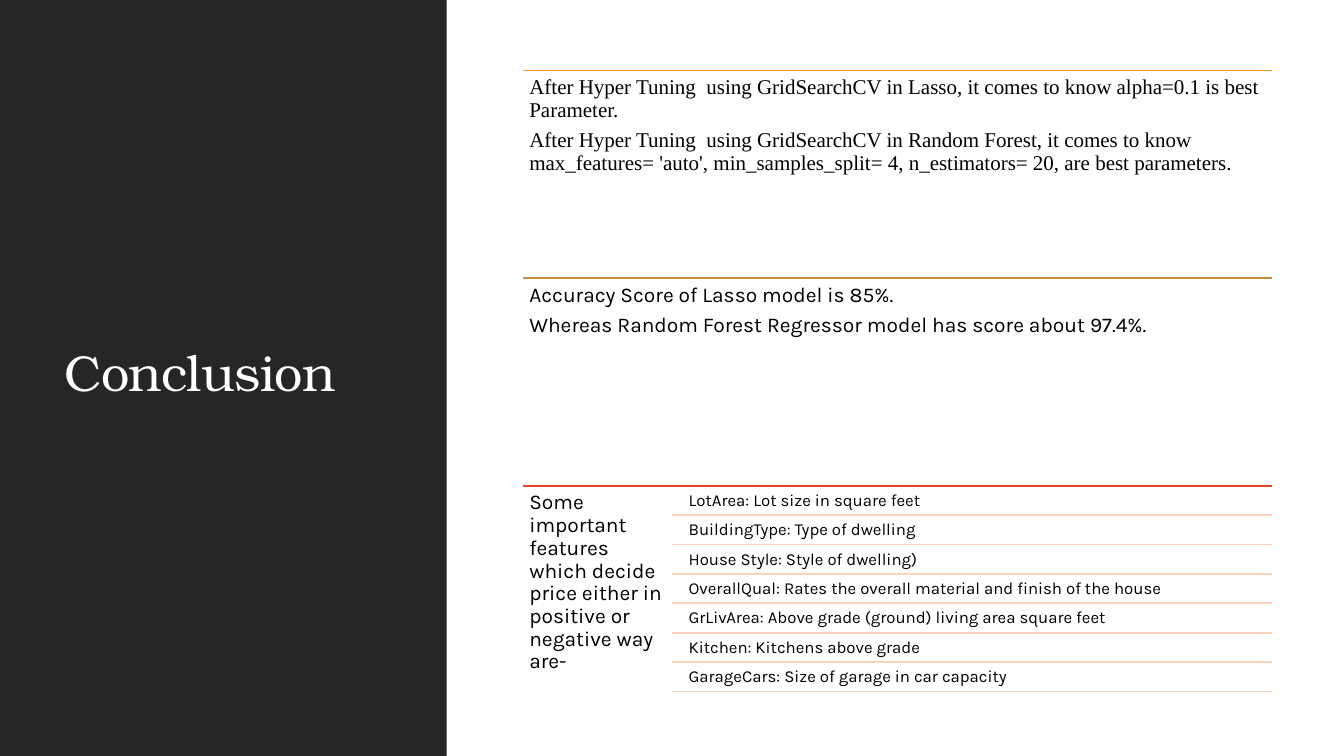
from pptx import Presentation
from pptx.dml.color import RGBColor
from pptx.enum.shapes import MSO_CONNECTOR, MSO_SHAPE
from pptx.enum.text import MSO_ANCHOR, PP_ALIGN
from pptx.oxml.ns import qn
from pptx.util import Inches, Pt
from lxml.etree import SubElement

COLOURS = {
    "paper": "FFFFFF",
    "panel": "262626",
    "ink": "000000",
    "orange": "F8931D",
    "ochre": "CE8D3E",
    "red": "E64823",
    "peach": "FCD2BD",
}
TITLE_FONT, BODY_FONT, SERIF_FONT = "TeX Gyre Bonum", "Karla", "Times New Roman"


class SlideBuilder:
    """Holds the shared style and the current slide."""

    line_spacing = 0.9
    space_share = 0.35
    rule_width = Pt(1.25)

    def __init__(self, page):
        self.page = page

    def colour(self, name):
        return RGBColor.from_string(COLOURS[name])

    def background(self, name):
        fill = self.page.background.fill
        fill.solid()
        fill.fore_color.rgb = self.colour(name)

    def panel(self, left, top, width, height, name):
        shape = self.page.shapes.add_shape(
            MSO_SHAPE.RECTANGLE, Inches(left), Inches(top), Inches(width), Inches(height))
        shape.shadow.inherit = False
        shape.fill.solid()
        shape.fill.fore_color.rgb = self.colour(name)
        shape.line.fill.background()

    def style(self, paragraph, size, font, name):
        paragraph.alignment = PP_ALIGN.LEFT
        paragraph.line_spacing = self.line_spacing
        for span in paragraph.runs:
            span.font.size = Pt(size)
            span.font.name = font
            span.font.color.rgb = self.colour(name)

    def title(self, text, left, top, width, height):
        title = self.page.shapes.title
        title.left, title.top = Inches(left), Inches(top)
        title.width, title.height = Inches(width), Inches(height)
        title.text_frame.text = text
        title.text_frame.word_wrap = True
        title.text_frame.vertical_anchor = MSO_ANCHOR.MIDDLE
        paragraph = title.text_frame.paragraphs[0]
        self.style(paragraph, 36, TITLE_FONT, "paper")
        # Tighter letter spacing, in hundredths of a point
        paragraph.runs[0].font._element.set("spc", "-50")
        # Bring the title in front of the dark panel
        title.element.getparent().append(title.element)

    def rule(self, left, right, y, name):
        rule = self.page.shapes.add_connector(
            MSO_CONNECTOR.STRAIGHT, Inches(left), Inches(y), Inches(right), Inches(y))
        rule.line.color.rgb = self.colour(name)
        rule.line.width = self.rule_width
        SubElement(rule.element.spPr, qn("a:effectLst"))

    def text(self, lines, left, top, width, height, size, font, inset):
        box = self.page.shapes.add_textbox(
            Inches(left), Inches(top), Inches(width), Inches(height))
        frame = box.text_frame
        frame.word_wrap = True
        frame.margin_left = frame.margin_right = Inches(inset)
        frame.margin_top = frame.margin_bottom = Inches(inset)
        frame.text = "\n".join(lines)
        for paragraph in frame.paragraphs:
            self.style(paragraph, size, font, "ink")
            paragraph.space_after = Pt(size * self.space_share)


LEFT, RIGHT, TOP = 5.19, 12.62, 0.7
SECTION_HEIGHT = 2.06
FEATURE_RULE_LEFT, FEATURE_LEFT = 6.67, 6.78
FEATURE_TOP, FEATURE_HEIGHT = 4.83, 0.28
FEATURE_STEP = 1.75 / 6

# Rule colour, font, text width, paragraphs
SECTIONS = [
    ("orange", SERIF_FONT, RIGHT - LEFT, [
        "After Hyper Tuning  using GridSearchCV in Lasso, it comes to know "
        "alpha=0.1 is best Parameter.",
        "After Hyper Tuning  using GridSearchCV in Random Forest, it comes to know "
        "max_features= 'auto', min_samples_split= 4, n_estimators= 20, "
        "are best parameters."]),
    ("ochre", BODY_FONT, RIGHT - LEFT, [
        "Accuracy Score of Lasso model is 85%.",
        "Whereas Random Forest Regressor model has score about 97.4%."]),
    ("red", BODY_FONT, 1.49, [
        "Some important features which decide price either in positive or "
        "negative way are-"]),
]
FEATURES = [
    "LotArea: Lot size in square feet",
    "BuildingType: Type of dwelling",
    "House Style: Style of dwelling)",
    "OverallQual: Rates the overall material and finish of the house",
    "GrLivArea: Above grade (ground) living area square feet",
    "Kitchen: Kitchens above grade",
    "GarageCars: Size of garage in car capacity",
]


def main():
    deck = Presentation()
    deck.slide_width, deck.slide_height = Inches(13.33), Inches(7.5)
    builder = SlideBuilder(deck.slides.add_slide(deck.slide_layouts[5]))

    # Dark side panel with the title
    builder.background("paper")
    builder.panel(0, 0, 4.43, 7.5, "panel")
    builder.title("Conclusion", 0.54, 0.57, 3.37, 6.31)

    # Three ruled sections
    for index, (rule_colour, font, width, lines) in enumerate(SECTIONS):
        top = TOP + index * SECTION_HEIGHT
        builder.rule(LEFT, RIGHT, top, rule_colour)
        builder.text(lines, LEFT, top, width, SECTION_HEIGHT, 15, font, 0.06)

    # Feature list, each entry underlined
    for index, feature in enumerate(FEATURES):
        top = FEATURE_TOP + index * FEATURE_STEP
        builder.text([feature], FEATURE_LEFT, top, RIGHT - FEATURE_LEFT,
                     FEATURE_HEIGHT, 12, BODY_FONT, 0.05)
        builder.rule(FEATURE_RULE_LEFT, RIGHT, top + FEATURE_HEIGHT, "peach")

    deck.save("out.pptx")


if __name__ == "__main__":
    main()
